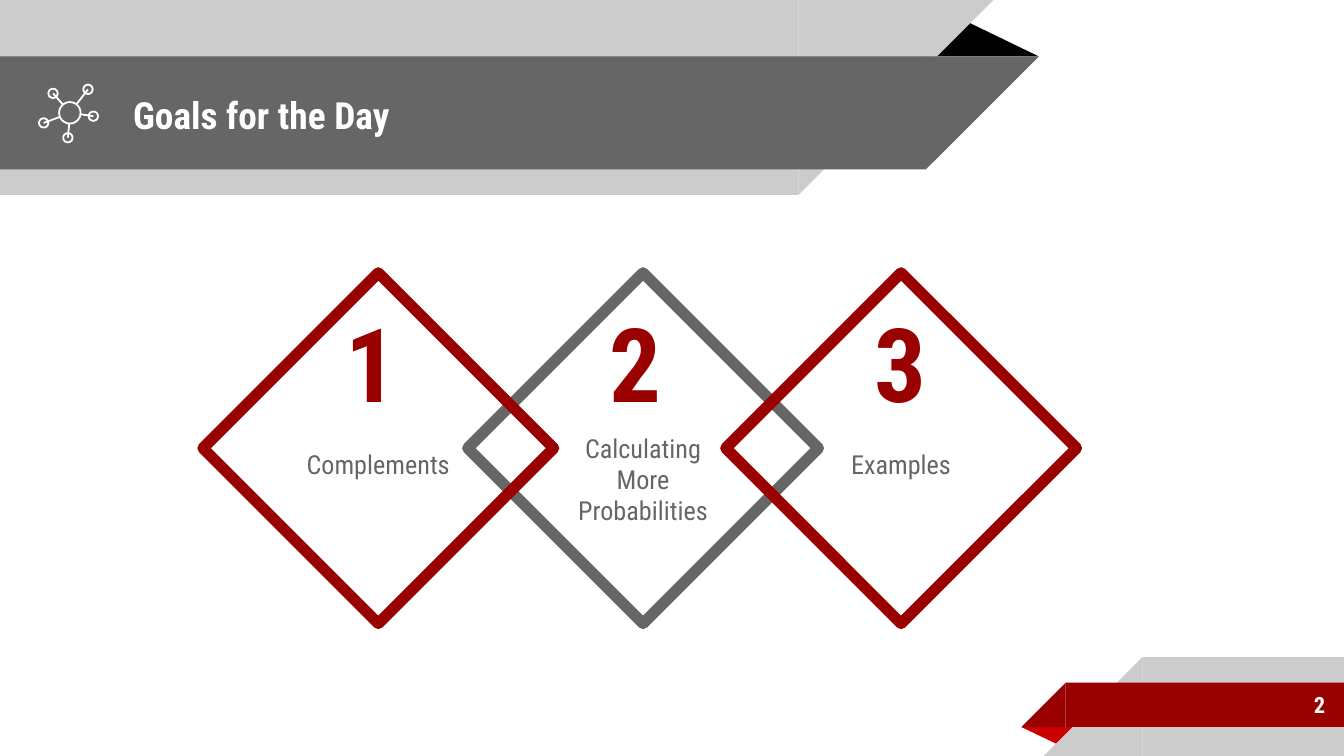
import dataclasses
import math
import typing

import pptx
import pptx.dml.color
import pptx.enum.shapes
import pptx.enum.text
import pptx.oxml
import pptx.util

PX = 4572
SLIDE_WIDTH, SLIDE_HEIGHT = 2000, 1125
INSET = 20
BLANK_LINE = 46
SHAPES = pptx.enum.shapes.MSO_SHAPE
ALIGN = pptx.enum.text.PP_ALIGN
ANCHOR = pptx.enum.text.MSO_ANCHOR


@dataclasses.dataclass(frozen=True)
class Theme:
    font: str = "Roboto Condensed"
    white: str = "FFFFFF"
    black: str = "000000"
    light: str = "CCCCCC"
    grey: str = "666666"
    red: str = "990000"
    bright_red: str = "CC0000"
    title_size: int = 20
    page_size: int = 12
    body_size: int = 14
    number_size: int = 55
    icon_line: float = 0.96
    diamond_line: int = 6


class Box(typing.NamedTuple):
    left: int
    top: int
    width: int
    height: int


class Band(typing.NamedTuple):
    box: Box
    color: str


class Goal(typing.NamedTuple):
    left: int
    number: int
    text: str
    line: str
    fill: str | None
    lines_down: int


class Node(typing.NamedTuple):
    x: int
    y: int
    radius: int


THEME = Theme()
HEADER_BANDS = (
    Band(Box(0, 0, 1188, 290), THEME.light),
    Band(Box(0, 84, 1378, 168), THEME.grey),
)
FOOTER_BANDS = (
    Band(Box(1700, 978, 300, 147), THEME.light),
    Band(Box(1586, 1016, 414, 66), THEME.red),
)
GOALS = (
    Goal(696, 2, "Calculating More Probabilities", THEME.grey, THEME.white, 2),
    Goal(302, 1, "Complements", THEME.red, None, 1),
    Goal(1080, 3, "Examples", THEME.red, None, 1),
)
HUB = Node(104, 168, 16)
NODES = tuple(Node(x, y, 7) for x, y in
              ((131, 133), (79, 139), (65, 183), (101, 205), (139, 173)))


def emu(box: typing.Sequence[int]) -> list[int]:
    return [length * PX for length in box]


def rgb(color: str):
    return pptx.dml.color.RGBColor.from_string(color)


def apply_format(target, values: dict) -> None:
    for name, value in values.items():
        setattr(target, name, value)


def add_shape(slide, kind, box: Box, fill: str | None = None,
              line: str | None = None, width: float = 0):
    shape = slide.shapes.add_shape(kind, *emu(box))
    shape.shadow.inherit = False
    if fill:
        shape.fill.solid()
        shape.fill.fore_color.rgb = rgb(fill)
    else:
        shape.fill.background()
    if line:
        shape.line.color.rgb = rgb(line)
        shape.line.width = pptx.util.Pt(width)
    else:
        shape.line.fill.background()
    return shape


def write_text(shape, text: str, size: int, color: str, bold: bool = True,
               align=ALIGN.LEFT, anchor=ANCHOR.MIDDLE,
               top: int = INSET, bottom: int = INSET) -> None:
    frame = shape.text_frame
    apply_format(frame, {
        "word_wrap": True, "vertical_anchor": anchor,
        "auto_size": pptx.enum.text.MSO_AUTO_SIZE.NONE,
        "margin_left": INSET * PX, "margin_right": INSET * PX,
        "margin_top": top * PX, "margin_bottom": bottom * PX,
    })
    paragraph = frame.paragraphs[0]
    paragraph.alignment = align
    run = paragraph.add_run()
    run.text = text
    apply_format(run.font, {"name": THEME.font, "size": pptx.util.Pt(size), "bold": bold})
    run.font.color.rgb = rgb(color)


def add_text(slide, box: Box, *args, **formats) -> None:
    write_text(slide.shapes.add_textbox(*emu(box)), *args, **formats)


def add_slant(slide, box: Box, color: str, rotation: int) -> None:
    triangle = add_shape(slide, SHAPES.RIGHT_TRIANGLE, box, color)
    triangle.element.spPr.xfrm.set("flipH", "1")
    triangle.rotation = rotation


def add_band(slide, band: Band, header: bool) -> None:
    left, top, width, height = band.box
    add_shape(slide, SHAPES.RECTANGLE, band.box, band.color)
    slant_left = left + width if header else left - height
    add_slant(slide, Box(slant_left, top, height, height), band.color, 180 if header else 0)


def add_fold(slide, box: Box, color: str, rotation: int) -> None:
    fold = add_shape(slide, SHAPES.ISOSCELES_TRIANGLE, box, color)
    fold.adjustments[0] = 0.32
    fold.rotation = rotation


def add_goal(slide, goal: Goal) -> None:
    diamond = add_shape(slide, SHAPES.DIAMOND, Box(goal.left, 406, 522, 522),
                        goal.fill, goal.line, THEME.diamond_line)
    write_text(diamond, goal.text, THEME.body_size, THEME.grey, bold=False,
               align=ALIGN.CENTER, top=goal.lines_down * BLANK_LINE, bottom=0)


def add_circle(slide, node: Node) -> None:
    size = 2 * node.radius
    add_shape(slide, SHAPES.OVAL, Box(node.x - node.radius, node.y - node.radius, size, size),
              line=THEME.white, width=THEME.icon_line)


def add_spoke(slide, node: Node) -> None:
    reach = HUB.radius / math.dist(node[:2], HUB[:2])
    edge_x = round(HUB.x + (node.x - HUB.x) * reach)
    edge_y = round(HUB.y + (node.y - HUB.y) * reach)
    spoke = slide.shapes.add_connector(pptx.enum.shapes.MSO_CONNECTOR.STRAIGHT,
                                       *emu((node.x, node.y, edge_x, edge_y)))
    spoke.line.color.rgb = rgb(THEME.white)
    spoke.line.width = pptx.util.Pt(THEME.icon_line)
    spoke.element.spPr.append(pptx.oxml.parse_xml(
        '<a:effectLst xmlns:a="http://schemas.openxmlformats.org/drawingml/2006/main"/>'))


def main() -> None:
    presentation = pptx.Presentation()
    presentation.slide_width, presentation.slide_height = emu((SLIDE_WIDTH, SLIDE_HEIGHT))
    slide = presentation.slides.add_slide(presentation.slide_layouts[5])

    add_fold(slide, Box(1376, 28, 170, 56), THEME.black, 0)
    for band in HEADER_BANDS:
        add_band(slide, band, header=True)
    add_fold(slide, Box(1520, 1082, 86, 28), THEME.bright_red, 180)
    for band in FOOTER_BANDS:
        add_band(slide, band, header=False)

    title = slide.shapes.title
    title.element.getparent().append(title.element)
    apply_format(title, dict(zip(("left", "top", "width", "height"), emu((178, 86, 1150, 168)))))
    write_text(title, "Goals for the Day", THEME.title_size, THEME.white)
    add_text(slide, Box(1666, 1014, 326, 70), "2", THEME.page_size, THEME.white,
             align=ALIGN.RIGHT)

    for goal in GOALS:
        add_goal(slide, goal)
    for node in (*NODES, HUB):
        add_circle(slide, node)
    for node in NODES:
        add_spoke(slide, node)
    for goal in GOALS:
        add_text(slide, Box(494 + 394 * (goal.number - 1), 430, 108, 220), str(goal.number),
                 THEME.number_size, THEME.red, anchor=ANCHOR.BOTTOM)

    presentation.save("out.pptx")


if __name__ == "__main__":
    main()
